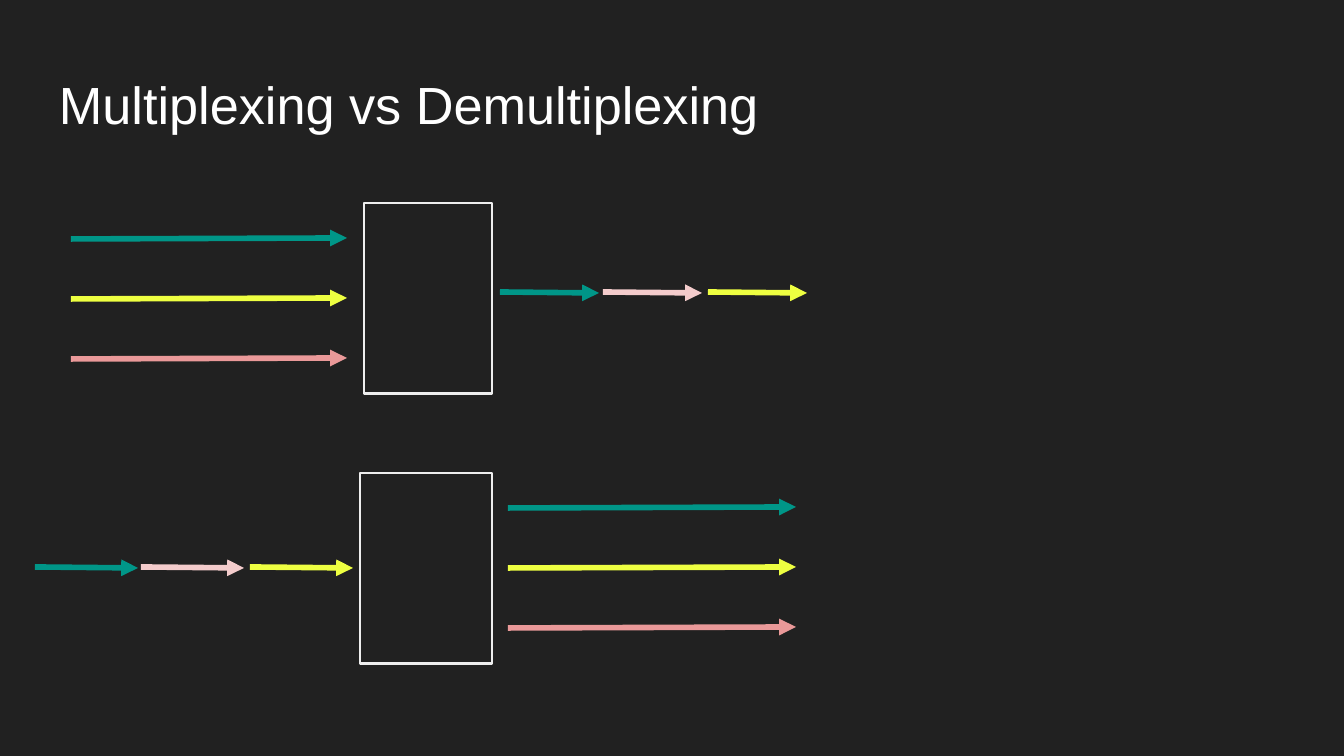
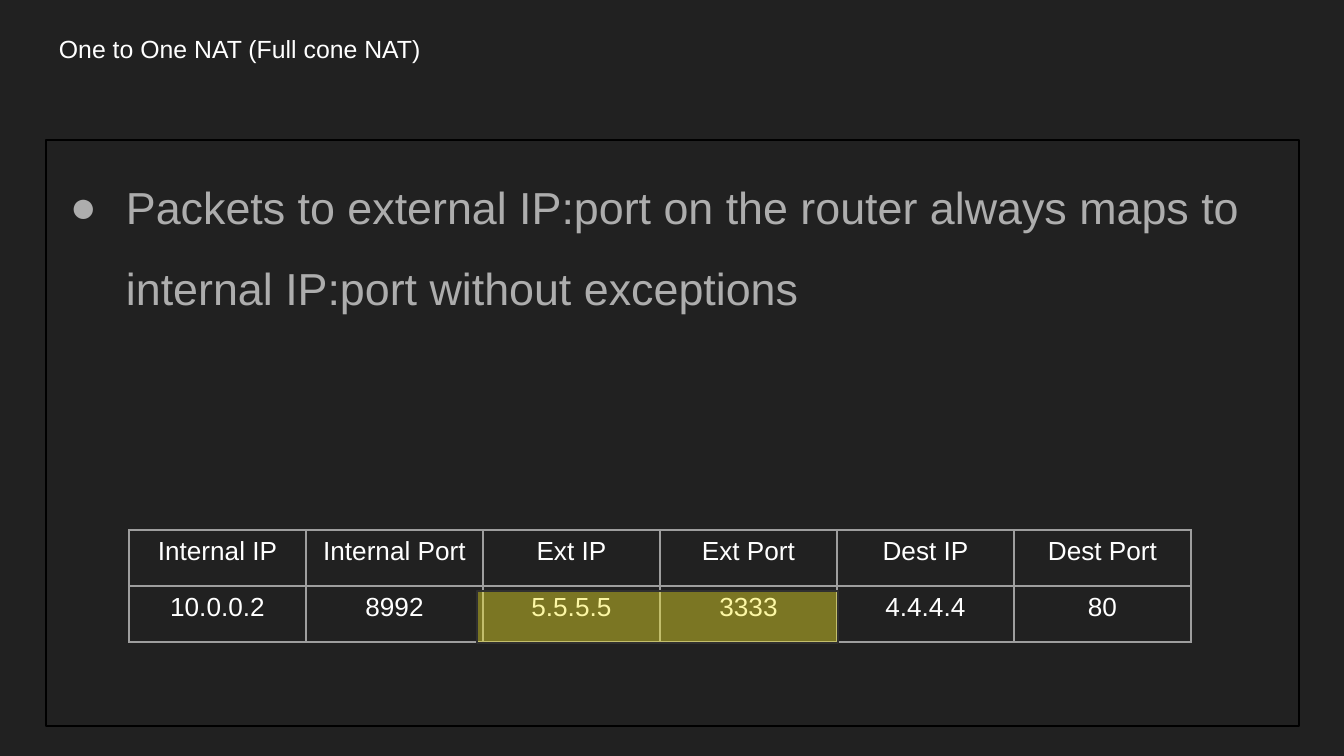
from dataclasses import dataclass

from lxml.etree import SubElement
from pptx import Presentation
from pptx.dml.color import RGBColor
from pptx.enum.shapes import MSO_CONNECTOR, MSO_SHAPE
from pptx.enum.text import MSO_ANCHOR, PP_ALIGN
from pptx.oxml.ns import qn
from pptx.util import Emu, Pt


@dataclass(frozen=True)
class Theme:
    font: str = "Arial"
    background: str = "212121"
    white: str = "FFFFFF"
    body: str = "ADADAD"
    device: str = "EEEEEE"
    frame: str = "000000"
    grid: str = "9E9E9E"
    highlight: str = "F8EC28"
    highlight_edge: str = "303030"
    teal: str = "009688"
    yellow: str = "EEFF41"
    coral: str = "EA9999"
    pink: str = "F4CCCC"
    title_size: float = 28
    small_title_size: float = 13.3
    body_size: float = 24
    table_size: float = 14
    arrow_width: float = 3
    device_width: float = 1.5
    thin_width: float = 0.75


THEME = Theme()
EMU_PER_PX = 914400 / 134.4
SLIDE_SIZE = (1344, 756)
TITLE_LEFT, TITLE_WIDTH, TITLE_HEIGHT = 46, 1253, 85
INSET = 13

PARALLEL_COLORS = (THEME.teal, THEME.yellow, THEME.coral)
SERIAL_COLORS = (THEME.teal, THEME.pink, THEME.yellow)
STREAM_PITCH = 60

MULTIPLEXING = {
    "title": "Multiplexing vs Demultiplexing",
    "devices": [(364, 203, 128, 191), (360, 473, 132, 191)],
    "parallel": [
        {"left": 71, "top": 239, "length": 276},
        {"left": 508, "top": 508, "length": 288},
    ],
    "serial": [
        {"starts": (500, 603, 708), "top": 292, "length": 99},
        {"starts": (35, 141, 250), "top": 567, "length": 103},
    ],
}

NAT = {
    "title": "One to One NAT (Full cone NAT)",
    "point": "Packets to external IP:port on the router always maps to internal IP:port without exceptions",
    "frame": (46, 140, 1253, 586),
    "mappings": [
        ("Internal IP", "Internal Port", "Ext IP", "Ext Port", "Dest IP", "Dest Port"),
        ("10.0.0.2", "8992", "5.5.5.5", "3333", "4.4.4.4", "80"),
    ],
    "table_corner": (129, 530),
    "cell_size": (177, 56),
    "highlight": (477, 591, 361, 52),
}


def px(value):
    return Emu(round(value * EMU_PER_PX))


def rgb(color):
    return RGBColor.from_string(color)


def add_run(paragraph, text, size, color):
    run = paragraph.add_run()
    run.text = text
    run.font.name = THEME.font
    run.font.size = Pt(size)
    run.font.color.rgb = rgb(color)


def set_up_frame(frame):
    frame.word_wrap = True
    frame.vertical_anchor = MSO_ANCHOR.TOP
    frame.margin_left = frame.margin_right = px(INSET)
    frame.margin_top = frame.margin_bottom = px(INSET)


def add_slide(deck, title, title_top, size, line_spacing):
    slide = deck.slides.add_slide(deck.slide_layouts[6])
    slide.background.fill.solid()
    slide.background.fill.fore_color.rgb = rgb(THEME.background)
    heading = slide.shapes.add_textbox(*map(px, (TITLE_LEFT, title_top, TITLE_WIDTH, TITLE_HEIGHT)))
    set_up_frame(heading.text_frame)
    paragraph = heading.text_frame.paragraphs[0]
    paragraph.line_spacing = line_spacing
    add_run(paragraph, title, size, THEME.white)
    return slide


def add_box(slide, bounds, edge, width):
    box = slide.shapes.add_shape(MSO_SHAPE.RECTANGLE, *map(px, bounds))
    box.shadow.inherit = False
    box.fill.background()
    box.line.color.rgb = rgb(edge)
    box.line.width = Pt(width)
    return box


def add_arrow(slide, start, end, color):
    arrow = slide.shapes.add_connector(MSO_CONNECTOR.STRAIGHT, *map(px, start + end))
    arrow.line.color.rgb = rgb(color)
    arrow.line.width = Pt(THEME.arrow_width)
    SubElement(arrow.line._get_or_add_ln(), qn("a:tailEnd"), type="triangle")
    SubElement(arrow._element.spPr, qn("a:effectLst"))


def add_bullet(paragraph):
    properties = paragraph._p.get_or_add_pPr()
    properties.set("marL", str(px(67)))
    properties.set("indent", str(-px(56)))
    bullet_color = SubElement(properties, qn("a:buClr"))
    SubElement(bullet_color, qn("a:srgbClr"), val=THEME.body)
    SubElement(properties, qn("a:buFont"), typeface=THEME.font)
    SubElement(properties, qn("a:buChar"), char="●")


def add_borders(cell):
    properties = cell._tc.get_or_add_tcPr()
    for side in ("a:lnL", "a:lnR", "a:lnT", "a:lnB"):
        border = SubElement(properties, qn(side), w=str(Pt(THEME.thin_width)))
        fill = SubElement(border, qn("a:solidFill"))
        SubElement(fill, qn("a:srgbClr"), val=THEME.grid)


def add_mapping_table(slide, mappings, corner, cell_size):
    rows, columns = len(mappings), len(mappings[0])
    width, height = cell_size
    bounds = corner + (width * columns, height * rows)
    table = slide.shapes.add_table(rows, columns, *map(px, bounds)).table
    table.first_row = table.horz_banding = False
    for column in table.columns:
        column.width = px(width)
    for row, values in zip(table.rows, mappings):
        row.height = px(height)
        for cell, value in zip(row.cells, values):
            add_borders(cell)
            cell.fill.background()
            paragraph = cell.text_frame.paragraphs[0]
            paragraph.alignment = PP_ALIGN.CENTER
            add_run(paragraph, value, THEME.table_size, THEME.white)


def build_multiplexing(deck):
    slide = add_slide(deck, MULTIPLEXING["title"], 66, THEME.title_size, 0.9)
    for device in MULTIPLEXING["devices"]:
        add_box(slide, device, THEME.device, THEME.device_width)
    for group in MULTIPLEXING["parallel"]:
        left, right = group["left"], group["left"] + group["length"]
        for index, color in enumerate(PARALLEL_COLORS):
            top = group["top"] + index * STREAM_PITCH
            add_arrow(slide, (left, top), (right, top - 1), color)
    for group in MULTIPLEXING["serial"]:
        top = group["top"]
        for left, color in zip(group["starts"], SERIAL_COLORS):
            add_arrow(slide, (left, top), (left + group["length"], top + 1), color)


def build_nat(deck):
    slide = add_slide(deck, NAT["title"], 28, THEME.small_title_size, 0.8)
    body = add_box(slide, NAT["frame"], THEME.frame, THEME.thin_width)
    set_up_frame(body.text_frame)
    paragraph = body.text_frame.paragraphs[0]
    add_bullet(paragraph)
    paragraph.alignment = PP_ALIGN.LEFT
    paragraph.line_spacing = 1.5
    add_run(paragraph, NAT["point"], THEME.body_size, THEME.body)
    add_mapping_table(slide, NAT["mappings"], NAT["table_corner"], NAT["cell_size"])
    highlight = add_box(slide, NAT["highlight"], THEME.highlight_edge, THEME.thin_width)
    highlight.fill.solid()
    highlight.fill.fore_color.rgb = rgb(THEME.highlight)
    tint = highlight._element.spPr.find(qn("a:solidFill")).find(qn("a:srgbClr"))
    SubElement(tint, qn("a:alpha"), val="42000")


def main():
    deck = Presentation()
    deck.slide_width, deck.slide_height = map(px, SLIDE_SIZE)
    build_multiplexing(deck)
    build_nat(deck)
    deck.save("out.pptx")


if __name__ == "__main__":
    main()
